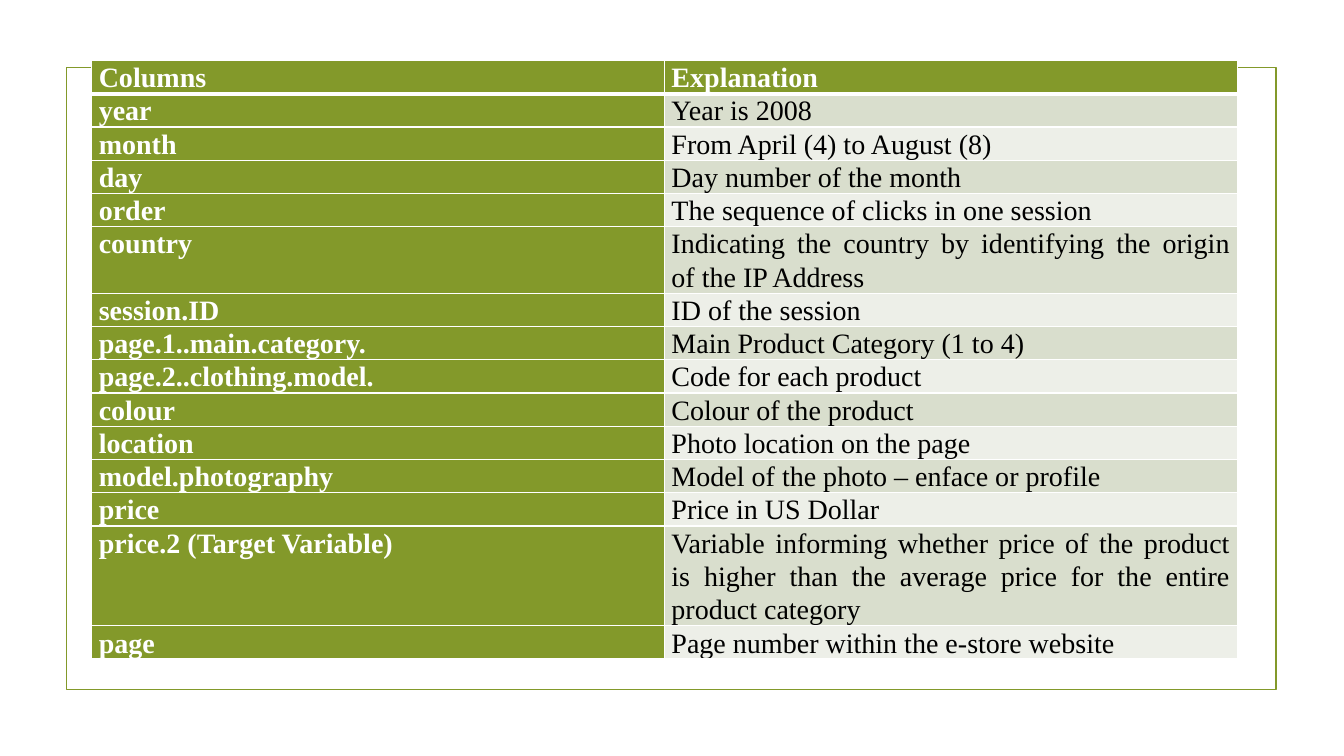
from dataclasses import dataclass

from lxml.etree import SubElement
from pptx import Presentation
from pptx.dml.color import RGBColor as Color
from pptx.enum.shapes import MSO_SHAPE as Shape
from pptx.enum.text import PP_ALIGN as Align
from pptx.oxml.ns import qn
from pptx.util import Inches, Pt


@dataclass(frozen=True)
class Theme:
    green: str = "83992A"
    dark_band: str = "D9DECD"
    light_band: str = "EDEFE8"
    white: str = "FFFFFF"
    black: str = "000000"
    font: str = "Times New Roman"
    size: int = 20
    line_spacing: float = 1.07


theme = Theme()


def write(cell, text, color=theme.black, bold=False):
    para = cell.text_frame.paragraphs[0]
    para.alignment = Align.JUSTIFY
    para.line_spacing = theme.line_spacing
    span = para.add_run()
    span.text = text
    span.font.name = theme.font
    span.font.size = Pt(theme.size)
    span.font.bold = bold
    span.font.color.rgb = Color.from_string(color)


def add_borders(cell, bottom=1):
    properties = cell._tc.get_or_add_tcPr()
    for side, width in (("L", 1), ("R", 1), ("T", 1), ("B", bottom)):
        line = SubElement(properties, qn(f"a:ln{side}"), w=str(Pt(width)))
        fill = SubElement(line, qn("a:solidFill"))
        SubElement(fill, qn("a:srgbClr"), val=theme.white)


# Column name, explanation, lines of text in the row
rows = [
    ("Columns", "Explanation", 1),
    ("year", "Year is 2008", 1),
    ("month", "From April (4) to August (8)", 1),
    ("day", "Day number of the month", 1),
    ("order", "The sequence of clicks in one session", 1),
    ("country", "Indicating the country by identifying the origin of the IP Address", 2),
    ("session.ID", "ID of the session", 1),
    ("page.1..main.category.", "Main Product Category (1 to 4)", 1),
    ("page.2..clothing.model.", "Code for each product", 1),
    ("colour", "Colour of the product", 1),
    ("location", "Photo location on the page", 1),
    ("model.photography", "Model of the photo – enface or profile", 1),
    ("price", "Price in US Dollar", 1),
    ("price.2 (Target Variable)",
     "Variable informing whether price of the product is higher than "
     "the average price for the entire product category", 3),
    ("page", "Page number within the e-store website", 1),
]

deck = Presentation()
deck.slide_width, deck.slide_height = Inches(13.33), Inches(7.5)
page = deck.slides.add_slide(deck.slide_layouts[6])

# Frame behind the table
frame = page.shapes.add_shape(
    Shape.RECTANGLE, Inches(0.66), Inches(0.67), Inches(12), Inches(6.17))
frame.shadow.inherit = False
frame.fill.background()
frame.line.color.rgb = Color.from_string(theme.green)
frame.line.width = Pt(1.25)

# Table of columns and their explanations
line_height = 0.33
total_height = line_height * sum(lines for _, _, lines in rows)
table = page.shapes.add_table(
    len(rows), 2, Inches(0.91), Inches(0.6), Inches(11.36), Inches(total_height)).table
table.horz_banding = False

for row_index, (name, explanation, lines) in enumerate(rows):
    table.rows[row_index].height = Inches(line_height * lines)
    is_header = row_index == 0
    band = theme.dark_band if row_index % 2 else theme.light_band
    for column_index, text in enumerate((name, explanation)):
        cell = table.cell(row_index, column_index)
        cell.margin_left = cell.margin_right = Inches(0.07)
        cell.margin_top = cell.margin_bottom = 0
        add_borders(cell, bottom=3 if is_header else 1)
        is_green = is_header or column_index == 0
        cell.fill.solid()
        cell.fill.fore_color.rgb = Color.from_string(theme.green if is_green else band)
        write(cell, text, color=theme.white if is_green else theme.black, bold=is_green)

deck.save("out.pptx")
